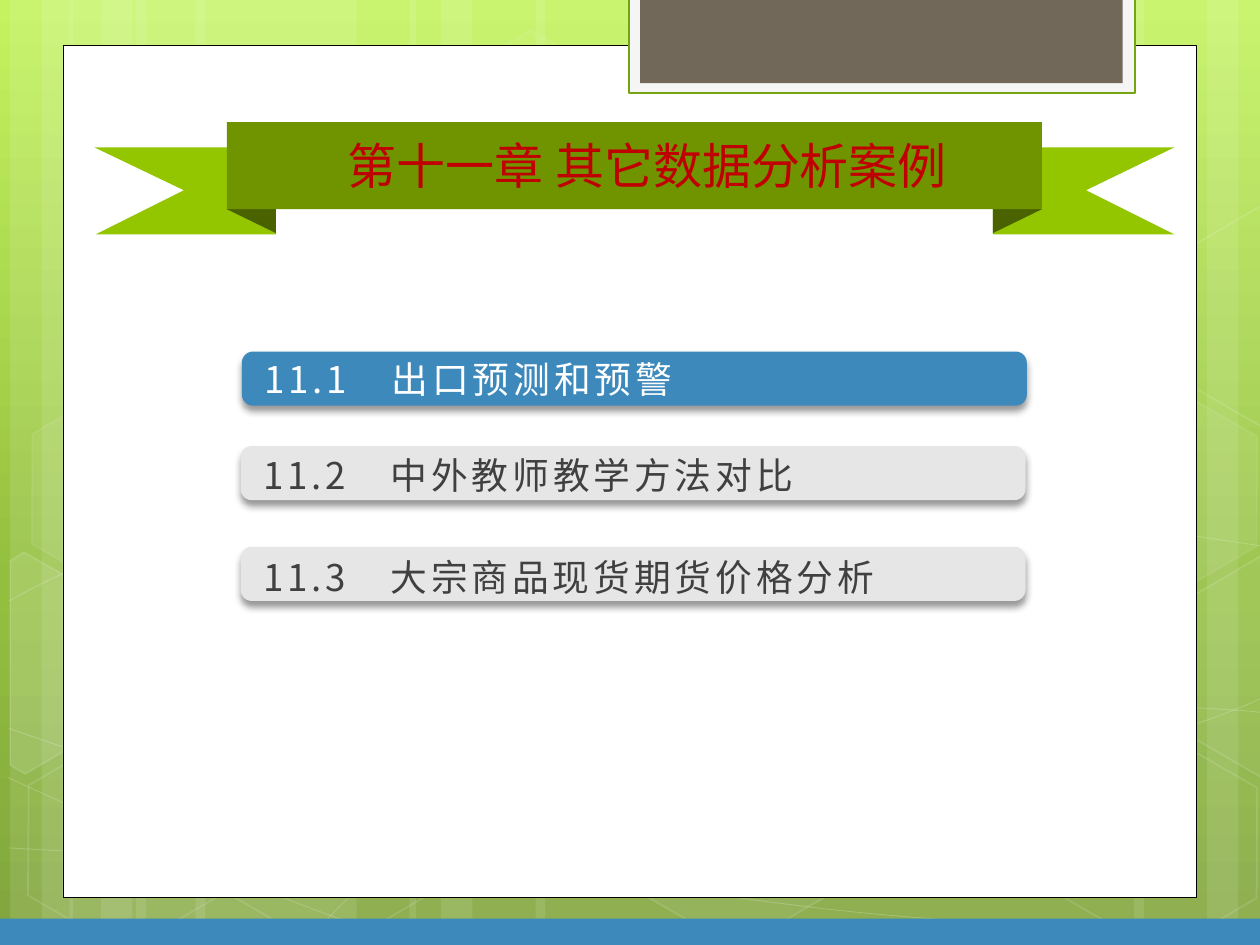
"""Build the chapter eleven contents slide with a ribbon title."""
import math
import pptx
import pptx.util
import pptx.dml.color
import pptx.enum.shapes
import pptx.enum.text
import pptx.oxml.ns
import lxml.etree

Inches = pptx.util.Inches
Pt = pptx.util.Pt
Kind = pptx.enum.shapes.MSO_SHAPE
qn = pptx.oxml.ns.qn
add = lxml.etree.SubElement

COLORS = {
    "white": "FFFFFF", "black": "000000", "pale": "F5F5F5", "edge": "74A510",
    "brown": "71685A", "lime": "94C600", "fold": "4A6300", "green": "6F9400",
    "red": "C00000", "blue": "3D89BC", "gray": "E6E6E6", "dark": "404040",
    "top": "C3F35F", "middle": "93BF3F", "bottom": "81A53E",
}
SKY = [(0, "top"), (62, "middle"), (100, "bottom")]
TITLE = "第十一章 其它数据分析案例"
ITEMS = [
    ("11.1　出口预测和预警", 1.92, 2.79, 2.78, 3.53, "blue", "white"),
    ("11.2　中外教师教学方法对比", 1.91, 3.54, 3.54, 4.51, "gray", "dark"),
    ("11.3　大宗商品现货期货价格分析", 1.91, 4.34, 4.35, 5.16, "gray", "dark"),
]
BANDS = [
    (1.08, 1.75), (0.08, 0.5), (0.33, 0.83), (1.55, 1.75), (0.55, 0.5), (0.8, 0.83),
    (7.33, 1.75), (9.58, 0.5), (9, 0.83), (4.25, 3.08), (3.25, 0.5), (3.5, 0.83),
]
CURVES = [
    [(0.07, 6.73), (0.61, 6.76, 1.15, 6.79, 1.9, 6.78), (2.65, 6.77, 3.58, 6.75, 4.58, 6.65),
     (5.58, 6.55, 7, 6.36, 7.92, 6.17), (8.83, 5.98, 9.77, 5.68, 10.07, 5.51)],
    [(0.07, 4.77), (0.36, 4.61, 0.65, 4.46, 1.21, 4.31), (1.78, 4.16, 2.59, 3.94, 3.47, 3.87),
     (4.36, 3.8, 5.44, 3.79, 6.54, 3.87), (7.64, 3.95, 9.47, 4.26, 10.07, 4.34)],
    [(0.06, 6.17), (1.27, 6.72, 2.47, 7.27, 3.34, 7.49)],
    [(0.07, 5.78), (0.38, 5.89, 0.7, 6, 1.28, 6.16), (1.86, 6.31, 2.73, 6.56, 3.57, 6.73),
     (4.4, 6.9, 5.45, 7.08, 6.28, 7.18), (7.11, 7.29, 8, 7.33, 8.53, 7.36),
     (9.05, 7.4, 9.19, 7.38, 9.45, 7.38), (9.71, 7.37, 9.89, 7.35, 10.07, 7.34)],
    [(2.42, 7.49), (2.6, 7.29, 2.78, 7.09, 3.02, 6.91), (3.26, 6.73, 3.6, 6.53, 3.88, 6.39),
     (4.16, 6.25, 4.33, 6.19, 4.7, 6.09), (5.06, 5.99, 5.73, 5.85, 6.08, 5.78),
     (6.44, 5.71, 6.49, 5.71, 6.8, 5.69), (7.11, 5.66, 7.6, 5.63, 7.94, 5.62),
     (8.29, 5.61, 8.86, 5.62, 8.86, 5.62), (9.53, 5.62),
     (9.71, 5.63, 9.88, 5.64, 9.97, 5.65), (10.06, 5.66, 10.03, 5.65, 10.06, 5.66)],
]
HEXES = [
    (3.34, 0.36, 4, 8), (4.97, 5.89, 6, 12), (0.11, 5.91, 0, 12),
    (0.14, 3.12, 7, 8), (1.74, 5.92, 0, 12), (7.53, 4.53, 10, 12),
    (8.34, 5.93, 0, 12), (8.34, 3.14, 7, 8),
]
CUTS = [
    ((0.36, 5.35), 10, [(0.08, 4.45), (0.19, 4.38), (0.96, 4.82), (0.95, 5.7),
                        (0.2, 6.14), (0.08, 6.07)]),
    ((9.85, 5.2), 4, [(9.26, 4.85), (10.01, 4.41), (10.09, 4.46), (10.09, 6.13),
                      (10.02, 6.17), (9.26, 5.73)]),
    ((9.85, 2.41), 0, [(9.26, 2.07), (10.01, 1.63), (10.1, 1.68), (10.09, 3.35),
                       (10.02, 3.39), (9.26, 2.95)]),
]
TAILS = [
    ([(0.75, 1.17), (2.19, 1.17), (2.19, 1.86), (0.76, 1.86), (1.46, 1.51)],
     1.9, 90, ["flipV"]),
    ([(9.32, 1.17), (7.88, 1.17), (7.88, 1.86), (9.32, 1.86), (8.62, 1.51)],
     7.98, 270, ["flipH", "flipV"]),
]


def tint(fill, color, alpha=100):
    fill.solid()
    fill.fore_color.rgb = pptx.dml.color.RGBColor.from_string(COLORS[color])
    if alpha < 100:
        node = fill._xPr.find(qn("a:solidFill"))[0]
        add(node, qn("a:alpha"), val=str(alpha * 1000))


def paint(shape, fill=None, alpha=100, line=None, width=1, clear=100):
    shape.shadow.inherit = False
    if fill and alpha:
        tint(shape.fill, fill, alpha)
    else:
        shape.fill.background()
    if line:
        tint(shape.line.fill, line, clear)
        shape.line.width = Pt(width)
    else:
        shape.line.fill.background()
    return shape


def block(slide, kind, box, **look):
    return paint(slide.shapes.add_shape(kind, *map(Inches, box)), **look)


def trace(slide, points, close, **look):
    first, *rest = [(Inches(x), Inches(y)) for x, y in points]
    pen = slide.shapes.build_freeform(*first)
    pen.add_line_segments(rest, close=close)
    return paint(pen.convert_to_shape(), **look)


def bend(slide, steps, **look):
    points = [pair for step in steps for pair in zip(step[::2], step[1::2])]
    shape = trace(slide, points, False, **look)
    lines = iter(list(shape._element.iter(qn("a:lnTo"))))
    for step in steps[1:]:
        group = [next(lines) for _ in step[::2]]
        if len(group) == 3:
            curve = group[0].makeelement(qn("a:cubicBezTo"), {})
            group[0].addprevious(curve)
            for line in group:
                curve.append(line[0])
                line.getparent().remove(line)


def turn(points, center, angle):
    cos, sin = math.cos(math.radians(angle)), math.sin(math.radians(angle))
    a, b = center
    return [(a + (x - a) * cos - (y - b) * sin, b + (x - a) * sin + (y - b) * cos)
            for x, y in points]


def write(slide, text, box, size, face, color, wrap, gap=0):
    frame = slide.shapes.add_textbox(*map(Inches, box)).text_frame
    frame.word_wrap = wrap
    frame.auto_size = pptx.enum.text.MSO_AUTO_SIZE.SHAPE_TO_FIT_TEXT
    run = frame.paragraphs[0].add_run()
    run.text = text
    run.font.size = Pt(size)
    run.font.name = face
    tint(run.font.fill, color)
    props = run._r.get_or_add_rPr()
    props.find(qn("a:latin")).addnext(props.makeelement(qn("a:ea"), {"typeface": face}))
    if gap:
        props.set("spc", str(round(gap * 100)))


def shade(shape):
    cast = add(shape._element.spPr.find(qn("a:effectLst")), qn("a:outerShdw"),
               blurRad=str(Pt(4)), dist=str(Pt(3)), dir="5400000", rotWithShape="0")
    add(add(cast, qn("a:srgbClr"), val=COLORS["black"]), qn("a:alpha"), val="40000")


def blend(slide):
    fill = slide.background.fill
    fill.gradient()
    fill.gradient_angle = 270
    stops = next(slide._element.iter(qn("a:gsLst")))
    for stop in list(stops):
        stops.remove(stop)
    for place, color in SKY:
        stop = add(stops, qn("a:gs"), pos=str(place * 1000))
        add(stop, qn("a:srgbClr"), val=COLORS[color])


def main():
    deck = pptx.Presentation()
    deck.slide_width, deck.slide_height = Inches(10), Inches(7.5)
    slide = deck.slides.add_slide(deck.slide_layouts[6])
    blend(slide)
    for left, width in BANDS:
        block(slide, Kind.RECTANGLE, (left, 0, width, 7.5), fill="white", alpha=10)
    for steps in CURVES:
        bend(slide, steps, line="white", width=0.5, clear=20)
    for left, top, alpha, clear in HEXES:
        cell = block(slide, Kind.HEXAGON, (left, top, 1.75, 1.52),
                     fill="white", alpha=alpha, line="white", clear=clear)
        cell.adjustments[0] = 0.285
        cell.rotation = 30
    for center, alpha, points in CUTS:
        cell = trace(slide, turn(points, center, -30), True,
                     fill="white", alpha=alpha, line="white", clear=12)
        cell.rotation = 30
    block(slide, Kind.RECTANGLE, (0.5, 0.36, 9, 6.76), fill="white", line="black", width=0.5)
    block(slide, Kind.RECTANGLE, (4.99, -0.02, 4.02, 0.76),
          fill="pale", line="edge", width=1.25)
    block(slide, Kind.RECTANGLE, (5.08, -0.02, 3.83, 0.68), fill="brown")
    for points, left, angle, flips in TAILS:
        trace(slide, points, True, fill="lime")
        fold = block(slide, Kind.RIGHT_TRIANGLE, (left, 1.56, 0.19, 0.39), fill="fold")
        fold.rotation = angle
        for flip in flips:
            fold._element.spPr.find(qn("a:xfrm")).set(flip, "1")
    block(slide, Kind.RECTANGLE, (1.8, 0.97, 6.47, 0.69), fill="green")
    write(slide, TITLE, (2.66, 1.03, 5.05, 0.57), 28, "League Spartan", "red", True)
    block(slide, Kind.RECTANGLE, (0, 7.29, 10, 0.21), fill="blue")
    for text, left, top, head, width, fill, ink in ITEMS:
        bar = block(slide, Kind.ROUNDED_RECTANGLE, (left, top, 6.23, 0.43), fill=fill)
        bar.adjustments[0] = 0.207
        shade(bar)
        write(slide, text, (left + 0.08, head, width, 0.45), 21,
              "Noto Sans CJK SC", ink, False, 2.2)
    deck.save("out.pptx")


if __name__ == "__main__":
    main()
